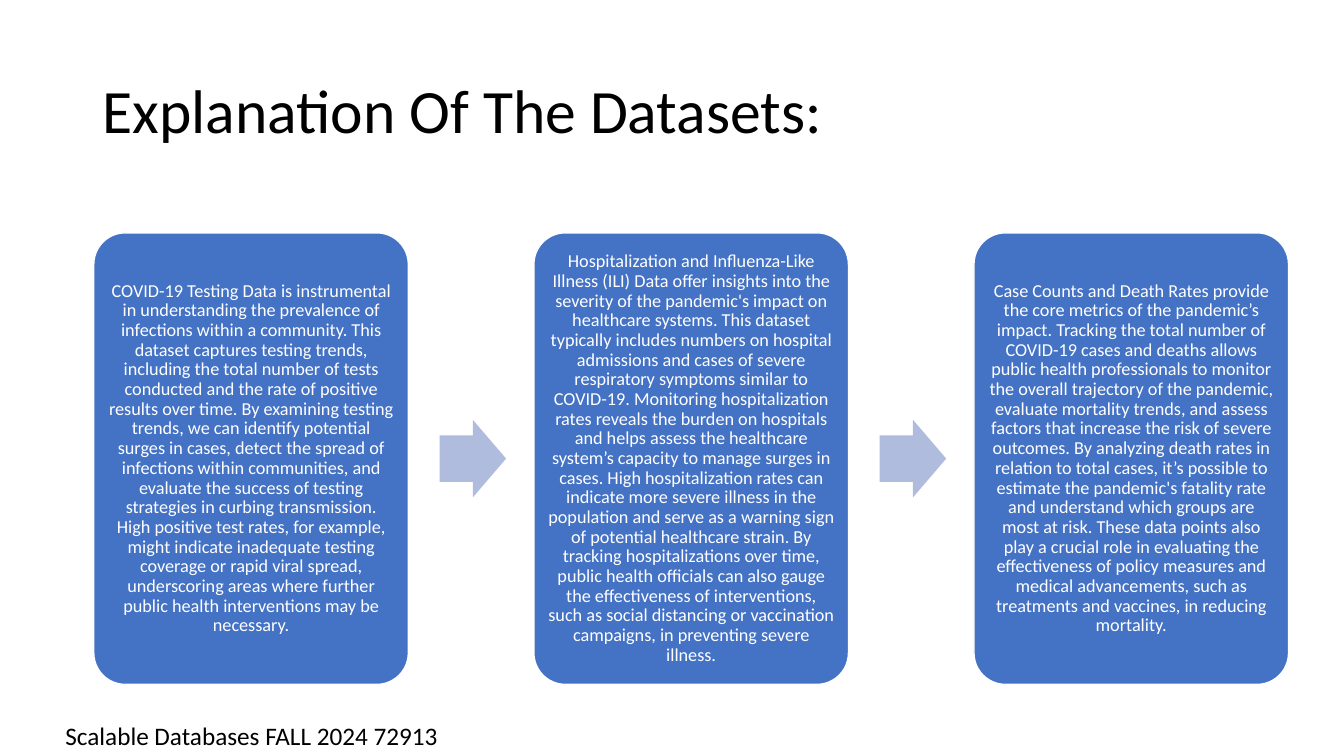
from dataclasses import dataclass

from pptx import Presentation
from pptx.dml.color import RGBColor
from pptx.enum.shapes import MSO_SHAPE
from pptx.enum.text import MSO_ANCHOR, PP_ALIGN
from pptx.util import Pt

EMU_PER_PX = 9144
SLIDE_SIZE = (1333, 750)
TITLE_BOX = (92, 40, 1150, 145)
CARDS_BOX = (93, 231, 1185, 448)
FOOTER_BOX = (55, 710, 482, 40)
CARD_WIDTH = 312
ARROW_OFFSET = 31
ARROW_SIZE = (66, 77)
CARD_INSET = 5


@dataclass(frozen=True)
class Theme:
    """Colours, font and type sizes of the slide."""
    ink: RGBColor = RGBColor(0x00, 0x00, 0x00)
    paper: RGBColor = RGBColor(0xFF, 0xFF, 0xFF)
    card: RGBColor = RGBColor(0x44, 0x72, 0xC4)
    arrow: RGBColor = RGBColor(0xB0, 0xBC, 0xDE)
    font: str = "Calibri"
    title_size: int = 44
    card_size: int = 13
    footer_size: int = 18


THEME = Theme()

DATASETS = (
    "COVID-19 Testing Data is instrumental in understanding the prevalence of "
    "infections within a community. This dataset captures testing trends, including "
    "the total number of tests conducted and the rate of positive results over time. "
    "By examining testing trends, we can identify potential surges in cases, detect "
    "the spread of infections within communities, and evaluate the success of testing "
    "strategies in curbing transmission. High positive test rates, for example, might "
    "indicate inadequate testing coverage or rapid viral spread, underscoring areas "
    "where further public health interventions may be necessary.",
    "Hospitalization and Influenza-Like Illness (ILI) Data offer insights into the "
    "severity of the pandemic's impact on healthcare systems. This dataset typically "
    "includes numbers on hospital admissions and cases of severe respiratory symptoms "
    "similar to COVID-19. Monitoring hospitalization rates reveals the burden on "
    "hospitals and helps assess the healthcare system’s capacity to manage surges in "
    "cases. High hospitalization rates can indicate more severe illness in the "
    "population and serve as a warning sign of potential healthcare strain. By "
    "tracking hospitalizations over time, public health officials can also gauge the "
    "effectiveness of interventions, such as social distancing or vaccination "
    "campaigns, in preventing severe illness.",
    "Case Counts and Death Rates provide the core metrics of the pandemic’s impact. "
    "Tracking the total number of COVID-19 cases and deaths allows public health "
    "professionals to monitor the overall trajectory of the pandemic, evaluate "
    "mortality trends, and assess factors that increase the risk of severe outcomes. "
    "By analyzing death rates in relation to total cases, it’s possible to estimate "
    "the pandemic's fatality rate and understand which groups are most at risk. These "
    "data points also play a crucial role in evaluating the effectiveness of policy "
    "measures and medical advancements, such as treatments and vaccines, in reducing "
    "mortality.",
)


def px(*lengths):
    """Turn pixel lengths into EMU."""
    return [round(length * EMU_PER_PX) for length in lengths]


def apply_format(target, values):
    """Set every attribute named in a dict of format values."""
    for name, value in values.items():
        setattr(target, name, value)


def write_text(shape, text, size, color, paragraph_format, frame_format):
    """Write one formatted paragraph into a shape."""
    frame = shape.text_frame
    apply_format(frame, {"word_wrap": True, **frame_format})
    paragraph = frame.paragraphs[0]
    apply_format(paragraph, paragraph_format)
    run = paragraph.add_run()
    run.text = text
    apply_format(run.font, {"name": THEME.font, "size": Pt(size)})
    run.font.color.rgb = color


def add_filled_shape(slide, kind, box, color, adjustments):
    """Add a preset shape with a flat fill and no shadow."""
    shape = slide.shapes.add_shape(kind, *px(*box))
    shape.shadow.inherit = False
    shape.fill.solid()
    shape.fill.fore_color.rgb = color
    for index, value in enumerate(adjustments):
        shape.adjustments[index] = value
    return shape


def add_title(slide, box):
    """Place the slide title, centred vertically in its box."""
    title = slide.shapes.add_textbox(*px(*box))
    write_text(title, "Explanation Of The Datasets:", THEME.title_size, THEME.ink,
               {"line_spacing": 0.9}, {"vertical_anchor": MSO_ANCHOR.MIDDLE})


def add_card(slide, box, text):
    """Place one rounded card holding a dataset description."""
    card = add_filled_shape(slide, MSO_SHAPE.ROUNDED_RECTANGLE, box, THEME.card, [0.1])
    card.line.color.rgb = THEME.paper
    card.line.width = Pt(1)
    inset, = px(CARD_INSET)
    margins = {f"margin_{side}": inset for side in ("left", "top", "right", "bottom")}
    write_text(card, text, THEME.card_size, THEME.paper,
               {"alignment": PP_ALIGN.CENTER, "line_spacing": 0.9},
               {"vertical_anchor": MSO_ANCHOR.MIDDLE, **margins})


def add_arrow(slide, box):
    """Place one block arrow between two cards."""
    arrow = add_filled_shape(slide, MSO_SHAPE.RIGHT_ARROW, box, THEME.arrow, [0.6, 0.5])
    arrow.line.fill.background()


def add_dataset_flow(slide, box):
    """Spread the cards evenly over the box with an arrow in each gap."""
    left, top, width, height = box
    pitch = (width - CARD_WIDTH) / (len(DATASETS) - 1)
    arrow_width, arrow_height = ARROW_SIZE
    arrow_top = top + (height - arrow_height) / 2
    for index, text in enumerate(DATASETS):
        card_left = left + index * pitch
        if index:
            arrow_left = card_left - pitch + CARD_WIDTH + ARROW_OFFSET
            add_arrow(slide, (arrow_left, arrow_top, arrow_width, arrow_height))
        add_card(slide, (card_left, top, CARD_WIDTH, height), text)


def add_footer(slide, box):
    """Place the course line at the foot of the slide."""
    footer = slide.shapes.add_textbox(*px(*box))
    write_text(footer, "Scalable Databases FALL 2024 72913", THEME.footer_size,
               THEME.ink, {}, {})


def main():
    """Build and save the presentation."""
    presentation = Presentation()
    width, height = px(*SLIDE_SIZE)
    apply_format(presentation, {"slide_width": width, "slide_height": height})
    slide = presentation.slides.add_slide(presentation.slide_layouts[6])
    add_title(slide, TITLE_BOX)
    add_dataset_flow(slide, CARDS_BOX)
    add_footer(slide, FOOTER_BOX)
    presentation.save("out.pptx")


if __name__ == "__main__":
    main()
